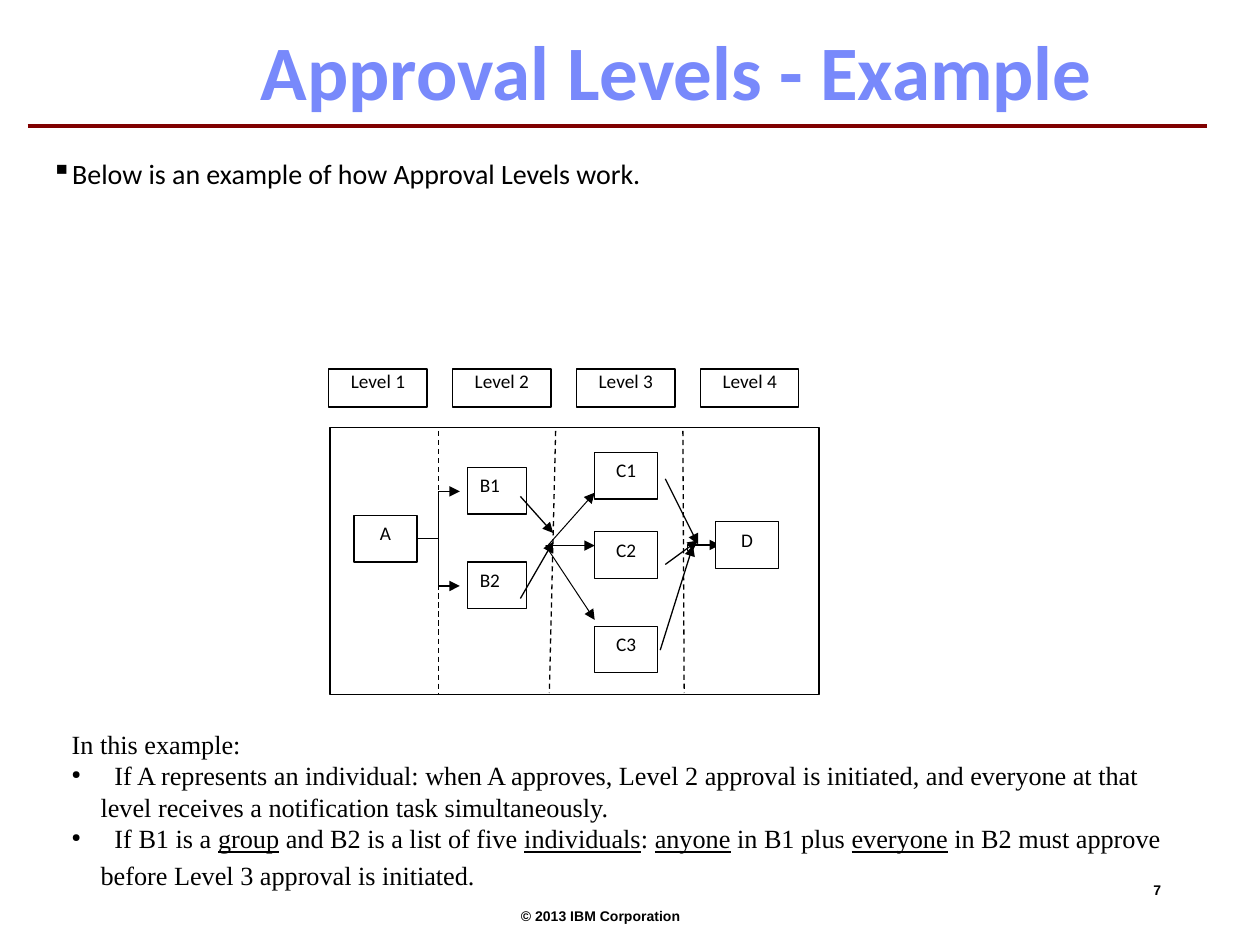
import pptx
import pptx.dml.color
import pptx.enum.dml
import pptx.enum.shapes
import pptx.enum.text
import pptx.oxml
import pptx.oxml.ns
import pptx.util

Inches = pptx.util.Inches
Pt = pptx.util.Pt
ALIGN = pptx.enum.text.PP_ALIGN
ANCHOR = pptx.enum.text.MSO_ANCHOR
CONNECTOR = pptx.enum.shapes.MSO_CONNECTOR

COLORS = {"title": "7889FB", "rule": "800000", "ink": "000000", "paper": "FFFFFF"}


def rgb(name):
    return pptx.dml.color.RGBColor.from_string(COLORS[name])


def add_child(parent, tag, **attributes):
    child = parent.makeelement(pptx.oxml.ns.qn(tag), attributes)
    parent.append(child)
    return child


def add_bullet(paragraph, character, indent, percent=100, tab=None):
    """Give a paragraph a hanging bullet and, if wanted, a tab stop."""
    properties = paragraph._p.get_or_add_pPr()
    properties.set("marL", str(Inches(indent)))
    properties.set("indent", str(-Inches(indent)))
    color = add_child(properties, "a:buClr")
    add_child(color, "a:srgbClr", val=COLORS["ink"])
    add_child(properties, "a:buSzPct", val=str(percent * 1000))
    add_child(properties, "a:buChar", char=character)
    if tab:
        tabs = add_child(properties, "a:tabLst")
        add_child(tabs, "a:tab", pos=str(Inches(tab)), algn="l")


def write(paragraph, text, size, font="Calibri", color="ink", bold=False,
          underline=False, align=ALIGN.LEFT):
    paragraph.alignment = align
    run = paragraph.add_run()
    run.text = text
    run.font.size = Pt(size)
    run.font.name = font
    run.font.bold = bold
    run.font.underline = underline
    run.font.color.rgb = rgb(color)


def set_frame(shape, anchor=ANCHOR.TOP, top=0.05):
    frame = shape.text_frame
    frame.word_wrap = True
    frame.auto_size = pptx.enum.text.MSO_AUTO_SIZE.NONE
    frame.vertical_anchor = anchor
    frame.margin_left = frame.margin_right = Inches(0.1)
    frame.margin_top, frame.margin_bottom = Inches(top), Inches(0.05)
    return frame


def add_text_frame(slide, left, top, width, height):
    box = slide.shapes.add_textbox(Inches(left), Inches(top), Inches(width), Inches(height))
    return set_frame(box)


def add_box(slide, left, top, width, height, text=None, align=ALIGN.CENTER, inset=0.05):
    box = slide.shapes.add_shape(
        pptx.enum.shapes.MSO_SHAPE.RECTANGLE,
        Inches(left), Inches(top), Inches(width), Inches(height))
    box.shadow.inherit = False
    box.fill.solid()
    box.fill.fore_color.rgb = rgb("paper")
    box.line.color.rgb = rgb("ink")
    box.line.width = Pt(0.75)
    if text:
        write(set_frame(box, top=inset).paragraphs[0], text, 11, align=align)
    return box


def add_line(slide, start, end, color="ink", width=0.75, dashed=False, arrow=False,
             kind=CONNECTOR.STRAIGHT):
    line = slide.shapes.add_connector(kind, *(Inches(value) for value in start + end))
    line.line.color.rgb = rgb(color)
    line.line.width = Pt(width)
    if dashed:
        line.line.dash_style = pptx.enum.dml.MSO_LINE.DASH
    if arrow:
        add_child(line.line._get_or_add_ln(), "a:tailEnd", type="triangle")
    add_child(line._element.spPr, "a:effectLst")
    return line


def add_heading(slide):
    title = slide.shapes.title
    title.left, title.top = Inches(1.97), Inches(0.22)
    title.width, title.height = Inches(6.95), Inches(0.76)
    paragraph = set_frame(title, ANCHOR.MIDDLE).paragraphs[0]
    paragraph.line_spacing = 0.9
    write(paragraph, "Approval Levels - Example", 44, color="title", bold=True)
    add_line(slide, (0.22, 1), (9.58, 1), color="rule", width=2.5)

    paragraph = add_text_frame(slide, 0.31, 1.19, 9.4, 1.17).paragraphs[0]
    add_bullet(paragraph, "▪", 0.16)
    write(paragraph, "Below is an example of how Approval Levels work.", 16)


def add_diagram(slide):
    # Level labels and the frame with its dividers
    for index in range(4):
        add_box(slide, 2.61 + index * 2.95 / 3, 2.93, 0.78, 0.3,
                f"Level {index + 1}", inset=0)
    add_box(slide, 2.62, 3.39, 3.88, 2.12)
    for top_x, bottom_x in ((3.48, 3.48), (4.41, 4.36), (5.42, 5.43)):
        add_line(slide, (top_x, 3.42), (bottom_x, 5.5), dashed=True)

    # First approver branches to level 2
    first = add_box(slide, 2.81, 4.09, 0.5, 0.37, "A")
    for y in (3.9, 4.65):
        branch = add_line(slide, (3.31, 4.27), (3.65, y), arrow=True, kind=CONNECTOR.ELBOW)
        branch.begin_connect(first, 3)

    # Short elbow into D: up, then right
    elbow = add_line(slide, (5.61, 4.48), (5.56, 4.22), arrow=True, kind=CONNECTOR.ELBOW)
    elbow._element.spPr.xfrm.set("rot", str(90 * 60000))
    elbow._element.spPr.find(pptx.oxml.ns.qn("a:prstGeom")).set("prst", "bentConnector2")

    # Approvers of levels 2 to 4
    for name, y in (("B1", 3.71), ("B2", 4.46)):
        add_box(slide, 3.71, y, 0.47, 0.37, name, align=ALIGN.LEFT)
    for name, x, y in (("C1", 4.72, 3.59), ("C2", 4.72, 4.22),
                       ("C3", 4.72, 4.97), ("D", 5.68, 4.14)):
        add_box(slide, x, y, 0.5, 0.37, name)

    # Arrows that gather and spread between levels
    for start, end, width in (
            ((4.13, 3.94), (4.39, 4.23), 0.75),
            ((4.13, 4.75), (4.39, 4.3), 0.75),
            ((4.33, 4.33), (4.72, 4.33), 0.75),
            ((5.28, 3.8), (5.54, 4.32), 0.75),
            ((5.28, 4.48), (5.54, 4.29), 0.75),
            ((5.24, 5.16), (5.5, 4.33), 0.75),
            ((4.33, 4.35), (4.72, 3.91), 0.57),
            ((4.33, 4.33), (4.72, 4.92), 0.57)):
        add_line(slide, start, end, width=width, arrow=True)


def add_explanation(slide):
    serif = "Times New Roman"
    frame = add_text_frame(slide, 0.47, 5.73, 8.98, 1.3)
    write(frame.paragraphs[0], "In this example:", 15, font=serif)
    # Every second piece of a bullet is underlined
    bullets = (
        ("\tIf A represents an individual: when A approves, Level 2 approval is initiated, "
         "and everyone at that level receives a notification task simultaneously.",),
        ("\tIf B1 is a ", "group", " and B2 is a list of five ", "individuals", ": ",
         "anyone", " in B1 plus ", "everyone",
         " in B2 must approve before Level 3 approval is initiated."),
    )
    for pieces in bullets:
        paragraph = frame.add_paragraph()
        add_bullet(paragraph, "●", 0.23, percent=45, tab=0.34)
        for index, piece in enumerate(pieces):
            write(paragraph, piece, 15, font=serif, underline=index % 2 == 1)
    # A larger closing space makes the last line taller
    write(paragraph, " ", 18, font=serif)


def add_footer(slide):
    copyright_line = add_text_frame(slide, 4, 7.15, 1.5, 0.2).paragraphs[0]
    write(copyright_line, "© 2013 IBM Corporation", 8, font="Arial", bold=True,
          align=ALIGN.RIGHT)
    number = add_text_frame(slide, 8.57, 6.95, 1.23, 0.34).paragraphs[0]
    write(number, "7", 8, font="Arial", bold=True, align=ALIGN.CENTER)


def main():
    presentation = pptx.Presentation()
    presentation.slide_width, presentation.slide_height = Inches(10), Inches(7.5)
    slide = presentation.slides.add_slide(presentation.slide_layouts[5])
    add_heading(slide)
    add_diagram(slide)
    add_explanation(slide)
    add_footer(slide)
    presentation.save("out.pptx")


if __name__ == "__main__":
    main()
